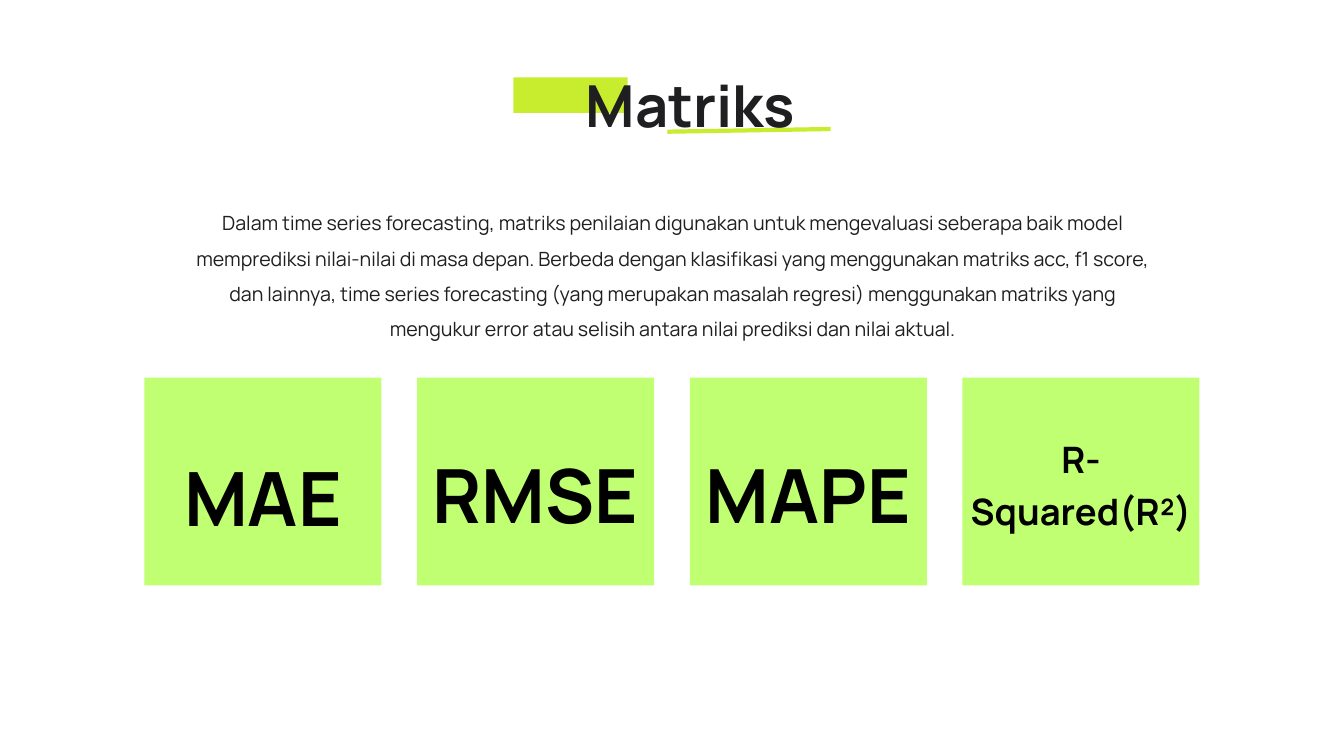
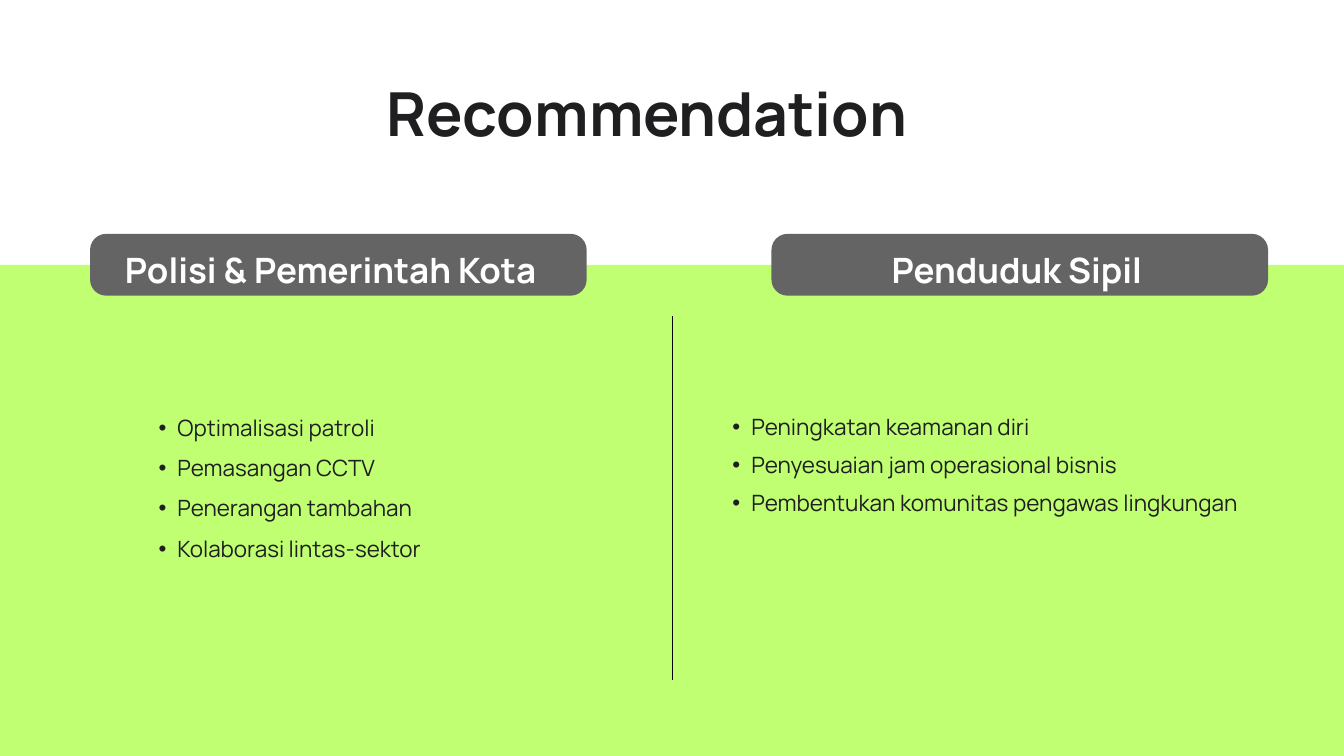
from dataclasses import dataclass

from lxml import etree
from pptx import Presentation
from pptx.dml.color import RGBColor
from pptx.enum.shapes import MSO_CONNECTOR, MSO_SHAPE
from pptx.enum.text import MSO_ANCHOR, MSO_AUTO_SIZE, PP_ALIGN
from pptx.oxml.ns import qn
from pptx.util import Inches, Pt

LEFT, CENTER, JUSTIFY = PP_ALIGN.LEFT, PP_ALIGN.CENTER, PP_ALIGN.JUSTIFY
TOP = MSO_ANCHOR.TOP
NO_AUTOFIT = MSO_AUTO_SIZE.NONE
RECTANGLE, ROUNDED = MSO_SHAPE.RECTANGLE, MSO_SHAPE.ROUNDED_RECTANGLE
STRAIGHT = MSO_CONNECTOR.STRAIGHT
TITLE_AND_CONTENT, TWO_CONTENT = 1, 3


@dataclass(frozen=True)
class Theme:
    font: str = "Manrope"
    ink: str = "1F1E20"
    black: str = "000000"
    white: str = "FFFFFF"
    panel: str = "C1FF72"
    accent: str = "C7ED2E"
    pill: str = "646464"
    intro_size: float = 21
    heading_size: float = 37.4


THEME = Theme()
SLIDE_WIDTH, SLIDE_HEIGHT = 20, 11.25

# Label, type size, label top within the card, label width and height
METRICS = [
    ("MAE", 80.2, 0.83, 2.65, 1.41),
    ("RMSE", 80, 0.79, 3.07, 1.43),
    ("MAPE", 80, 0.79, 3.18, 1.43),
    ("R-Squared(R²)", 39, 0.75, 3.53, 1.33),
]
INTRO = (
    "Dalam time series forecasting, matriks penilaian digunakan untuk mengevaluasi "
    "seberapa baik model memprediksi nilai-nilai di masa depan. Berbeda dengan "
    "klasifikasi yang menggunakan matriks acc, f1 score, dan lainnya, time series "
    "forecasting (yang merupakan masalah regresi) menggunakan matriks yang mengukur "
    "error atau selisih antara nilai prediksi dan nilai aktual."
)
# Boxes are left, top, width, height; those in a column are relative to its pill
COLUMNS = [
    {
        "left": 1.34,
        "heading": "Polisi & Pemerintah Kota",
        "heading_box": (0.52, 0.15, 6.46, 0.61),
        "items": ["Optimalisasi patroli", "Pemasangan CCTV",
                  "Penerangan tambahan", "Kolaborasi lintas-sektor"],
        "list_box": (0.73, 2.48, 5.94, 2),
        "list_format": {"size": 24, "spacing": 1.5, "align": JUSTIFY},
    },
    {
        "left": 11.48,
        "heading": "Penduduk Sipil",
        "heading_box": (1.79, 0.15, 3.87, 0.61),
        "items": ["Peningkatan keamanan diri", "Penyesuaian jam operasional bisnis",
                  "Pembentukan komunitas pengawas lingkungan"],
        "list_box": (-0.87, 2.51, 8.64, 1.41),
        "list_format": {"size": 24.1, "spacing": 1.4, "align": LEFT},
    },
]


def color(value):
    return RGBColor.from_string(value)


def set_bullet(paragraph, bulleted):
    properties = paragraph._p.get_or_add_pPr()
    margin, indent = (Inches(0.57), Inches(-0.28)) if bulleted else (0, 0)
    properties.set("marL", str(int(margin)))
    properties.set("indent", str(int(indent)))
    if not bulleted:
        etree.SubElement(properties, qn("a:buNone"))
        return
    paragraph.level = 1
    bullet_color = etree.SubElement(properties, qn("a:buClr"))
    etree.SubElement(bullet_color, qn("a:srgbClr"), val=THEME.ink)
    etree.SubElement(properties, qn("a:buChar"), char="•")


def write_text(shape, lines, size, spacing, align=LEFT, ink=THEME.ink,
               bold=False, bulleted=False):
    frame = shape.text_frame
    frame_format = {
        "margin_left": 0, "margin_top": 0, "margin_right": 0, "margin_bottom": 0,
        "word_wrap": True, "auto_size": NO_AUTOFIT, "vertical_anchor": TOP,
    }
    for name, value in frame_format.items():
        setattr(frame, name, value)
    for index, line in enumerate(lines):
        paragraph = frame.add_paragraph() if index else frame.paragraphs[0]
        set_bullet(paragraph, bulleted)
        paragraph_format = {"alignment": align, "line_spacing": spacing,
                            "space_before": Pt(0)}
        for name, value in paragraph_format.items():
            setattr(paragraph, name, value)
        run = paragraph.add_run()
        run.text = line
        for name, value in {"name": THEME.font, "size": Pt(size), "bold": bold}.items():
            setattr(run.font, name, value)
        run.font.color.rgb = color(ink)


def fill_placeholder(placeholder, box, lines, **text_format):
    """Move a placeholder to the box, bring it to the front and write its text."""
    for name, value in zip(("left", "top", "width", "height"), box):
        setattr(placeholder, name, Inches(value))
    placeholder.element.getparent().append(placeholder.element)
    write_text(placeholder, lines, **text_format)


def add_label(slide, box, text, **text_format):
    label = slide.shapes.add_textbox(*map(Inches, box))
    write_text(label, [text], bold=True, **text_format)


def add_block(slide, box, fill, kind=RECTANGLE):
    block = slide.shapes.add_shape(kind, *map(Inches, box))
    block.shadow.inherit = False
    block.fill.solid()
    block.fill.fore_color.rgb = color(fill)
    block.line.fill.background()
    return block


def add_rule(slide, start, end, ink, width):
    rule = slide.shapes.add_connector(STRAIGHT, *map(Inches, start + end))
    rule.line.color.rgb = color(ink)
    rule.line.width = Pt(width)
    etree.SubElement(rule.element.spPr, qn("a:effectLst"))


def add_metric_cards(slide, left, top, width, height):
    gap = 0.53
    card_width = (width - gap * (len(METRICS) - 1)) / len(METRICS)
    for index, (text, size, label_top, label_width, label_height) in enumerate(METRICS):
        card_left = left + index * (card_width + gap)
        add_block(slide, (card_left, top, card_width, height), THEME.panel)
        label_left = card_left + (card_width - label_width) / 2
        add_label(slide, (label_left, top + label_top, label_width, label_height), text,
                  size=size, spacing=1.2, align=CENTER, ink=THEME.black)


def add_accented_title(slide, left, top, width, height, text):
    """Title with a block behind its start and a stroke under its end."""
    add_block(slide, (left - 0.83, top + 0.32, 1.7, 0.53), THEME.accent)
    add_rule(slide, (left + 1.46, top + 1.13), (left + 3.89, top + 1.09),
             THEME.accent, 4.5)
    fill_placeholder(slide.shapes.title, (left, top, width, height), [text],
                     size=62, spacing=1.2, align=CENTER, bold=True)


def add_recommendation_column(slide, placeholder, column):
    left, top = column["left"], 3.48

    def inside(box):
        return (left + box[0], top + box[1], *box[2:])

    pill = add_block(slide, (left, top, 7.39, 0.92), THEME.pill, ROUNDED)
    pill.adjustments[0] = 0.26
    add_label(slide, inside(column["heading_box"]), column["heading"],
              size=THEME.heading_size, spacing=1.1, ink=THEME.white)
    fill_placeholder(placeholder, inside(column["list_box"]), column["items"],
                     bulleted=True, **column["list_format"])


def build_metrics_slide(presentation):
    slide = presentation.slides.add_slide(presentation.slide_layouts[TITLE_AND_CONTENT])
    add_metric_cards(slide, 2.15, 5.62, 15.7, 3.09)
    fill_placeholder(slide.placeholders[1], (2.72, 2.97, 14.58, 1.75), [INTRO],
                     size=THEME.intro_size, spacing=1.5, align=CENTER)
    add_accented_title(slide, 8.47, 0.83, 3.61, 1.09, "Matriks")


def build_recommendation_slide(presentation):
    slide = presentation.slides.add_slide(presentation.slide_layouts[TWO_CONTENT])
    panel_top = 3.94
    add_block(slide, (0, panel_top, SLIDE_WIDTH, SLIDE_HEIGHT - panel_top), THEME.panel)
    middle = SLIDE_WIDTH / 2
    add_rule(slide, (middle, 10.12), (middle, 4.7), THEME.black, 0.75)
    fill_placeholder(slide.shapes.title, (5.75, 1.02, 8.5, 1.08), ["Recommendation"],
                     size=65, spacing=1.1, bold=True)
    bodies = [slide.placeholders[1], slide.placeholders[2]]
    for body, column in zip(bodies, COLUMNS):
        add_recommendation_column(slide, body, column)


def main():
    presentation = Presentation()
    presentation.slide_width = Inches(SLIDE_WIDTH)
    presentation.slide_height = Inches(SLIDE_HEIGHT)
    build_metrics_slide(presentation)
    build_recommendation_slide(presentation)
    presentation.save("out.pptx")


if __name__ == "__main__":
    main()
